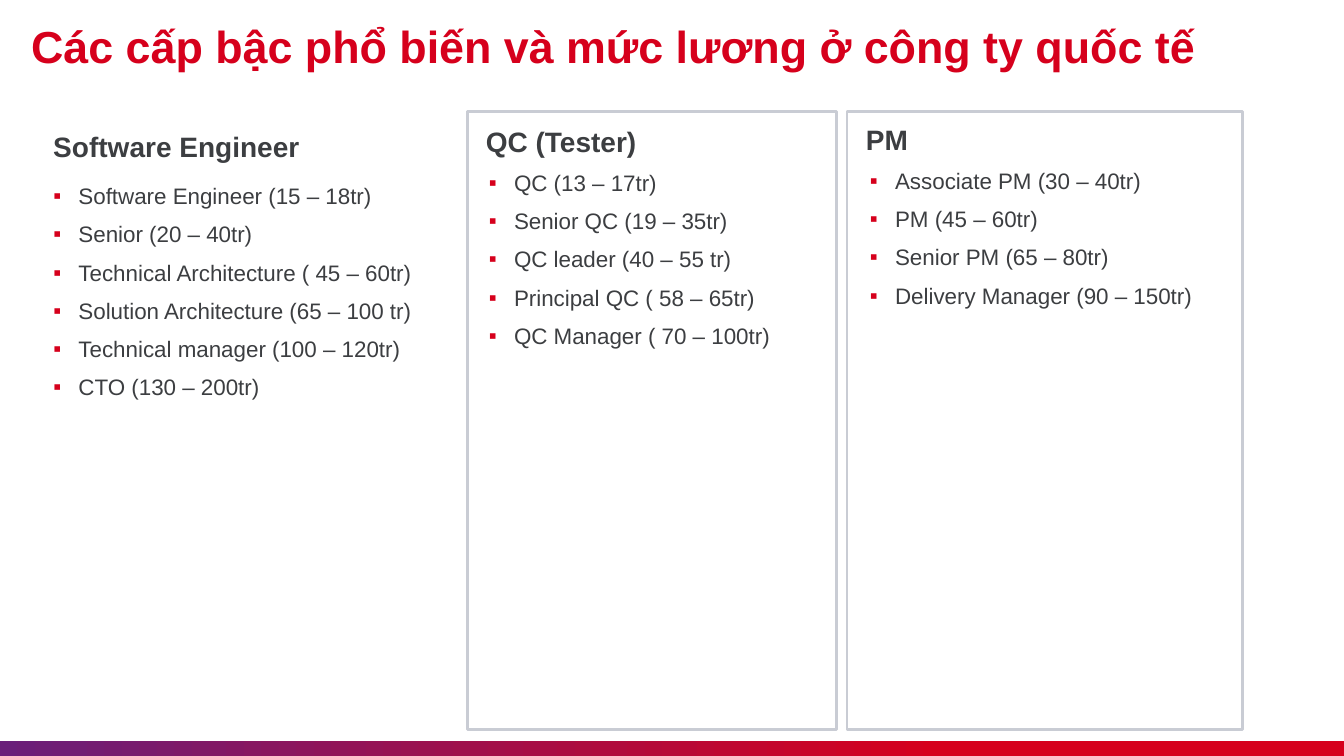
from lxml.etree import SubElement
from pptx import Presentation
from pptx.dml.color import RGBColor
from pptx.enum.shapes import MSO_SHAPE
from pptx.enum.text import MSO_ANCHOR
from pptx.oxml.ns import qn
from pptx.util import Inches, Pt

RED, PURPLE, GRAY, BORDER, WHITE = "D6001C", "6A1F7A", "3C3E41", "C9CCD4", "FFFFFF"
SLIDE_WIDTH, SLIDE_HEIGHT = 13.33, 7.5

# Each column: frame box or None, heading box, list box, heading, levels
COLUMNS = [
    (None, (0.43, 1.22, 3.24, 0.5), (0.43, 1.79, 3.89, 5.27), "Software Engineer", [
        "Software Engineer (15 – 18tr)",
        "Senior (20 – 40tr)",
        "Technical Architecture ( 45 – 60tr)",
        "Solution Architecture (65 – 100 tr)",
        "Technical manager (100 – 120tr)",
        "CTO (130 – 200tr)",
    ]),
    ((4.64, 1.11, 3.66, 6.13), (0.08, 0.06, 3.24, 0.5), (0.11, 0.55, 3.36, 5.27), "QC (Tester)", [
        "QC (13 – 17tr)",
        "Senior QC (19 – 35tr)",
        "QC leader (40 – 55 tr)",
        "Principal QC ( 58 – 65tr)",
        "QC Manager ( 70 – 100tr)",
    ]),
    ((8.4, 1.11, 3.92, 6.13), (0.09, 0.04, 3.24, 0.5), (0.13, 0.53, 3.6, 5.27), "PM", [
        "Associate PM (30 – 40tr)",
        "PM (45 – 60tr)",
        "Senior PM (65 – 80tr)",
        "Delivery Manager (90 – 150tr)",
    ]),
]


def color(value):
    return RGBColor.from_string(value)


def add_rectangle(slide, box):
    shape = slide.shapes.add_shape(MSO_SHAPE.RECTANGLE, *map(Inches, box))
    shape.shadow.inherit = False
    return shape


def add_text(slide, box, lines, size, font_color, bold=False, anchor=MSO_ANCHOR.MIDDLE):
    text_frame = slide.shapes.add_textbox(*map(Inches, box)).text_frame
    text_frame.word_wrap = True
    text_frame.vertical_anchor = anchor
    text_frame.text = "\n".join(lines)
    for paragraph in text_frame.paragraphs:
        paragraph.line_spacing = 0.9
        paragraph.space_before = Pt(10)
        font = paragraph.runs[0].font
        font.name, font.size, font.bold = "Arial", Pt(size), bold
        font.color.rgb = color(font_color)
    return text_frame


def add_bullet(paragraph):
    properties = paragraph._p.get_or_add_pPr()
    properties.set("marL", str(Inches(0.25)))
    properties.set("indent", str(-Inches(0.25)))
    bullet_color = SubElement(properties, qn("a:buClr"))
    SubElement(bullet_color, qn("a:srgbClr"), val=RED)
    SubElement(properties, qn("a:buFont"), typeface="Arial")
    SubElement(properties, qn("a:buChar"), char="▪")


def add_footer_bar(slide, box):
    bar = add_rectangle(slide, box)
    bar.line.fill.background()
    bar.fill.gradient()
    bar.fill.gradient_angle = 0
    for stop, position, value in zip(bar.fill.gradient_stops, (0, 0.7), (PURPLE, RED)):
        stop.position = position
        stop.color.rgb = color(value)


def add_frame(slide, box):
    frame = add_rectangle(slide, box)
    frame.fill.solid()
    frame.fill.fore_color.rgb = color(WHITE)
    frame.line.color.rgb = color(BORDER)
    frame.line.width = Pt(2)


def add_column(slide, frame_box, heading_box, list_box, heading, levels):
    # Text boxes are placed from the frame's corner when there is a frame
    left, top = 0, 0
    if frame_box:
        add_frame(slide, frame_box)
        left, top = frame_box[:2]

    def place(box):
        return (left + box[0], top + box[1], *box[2:])

    add_text(slide, place(heading_box), [heading], 20, GRAY, bold=True)
    level_list = add_text(slide, place(list_box), levels, 16, GRAY, anchor=MSO_ANCHOR.TOP)
    for paragraph in level_list.paragraphs:
        add_bullet(paragraph)


def main():
    presentation = Presentation()
    presentation.slide_width = Inches(SLIDE_WIDTH)
    presentation.slide_height = Inches(SLIDE_HEIGHT)
    slide = presentation.slides.add_slide(presentation.slide_layouts[6])

    # Footer bar
    add_footer_bar(slide, (0, 7.35, SLIDE_WIDTH, SLIDE_HEIGHT - 7.35))

    # Title
    title = "Các cấp bậc phổ biến và mức lương ở công ty quốc tế"
    add_text(slide, (0.21, 0.19, 12.48, 0.59), [title], 32, RED, bold=True)

    # Career columns
    for column in COLUMNS:
        add_column(slide, *column)

    presentation.save("out.pptx")


if __name__ == "__main__":
    main()
